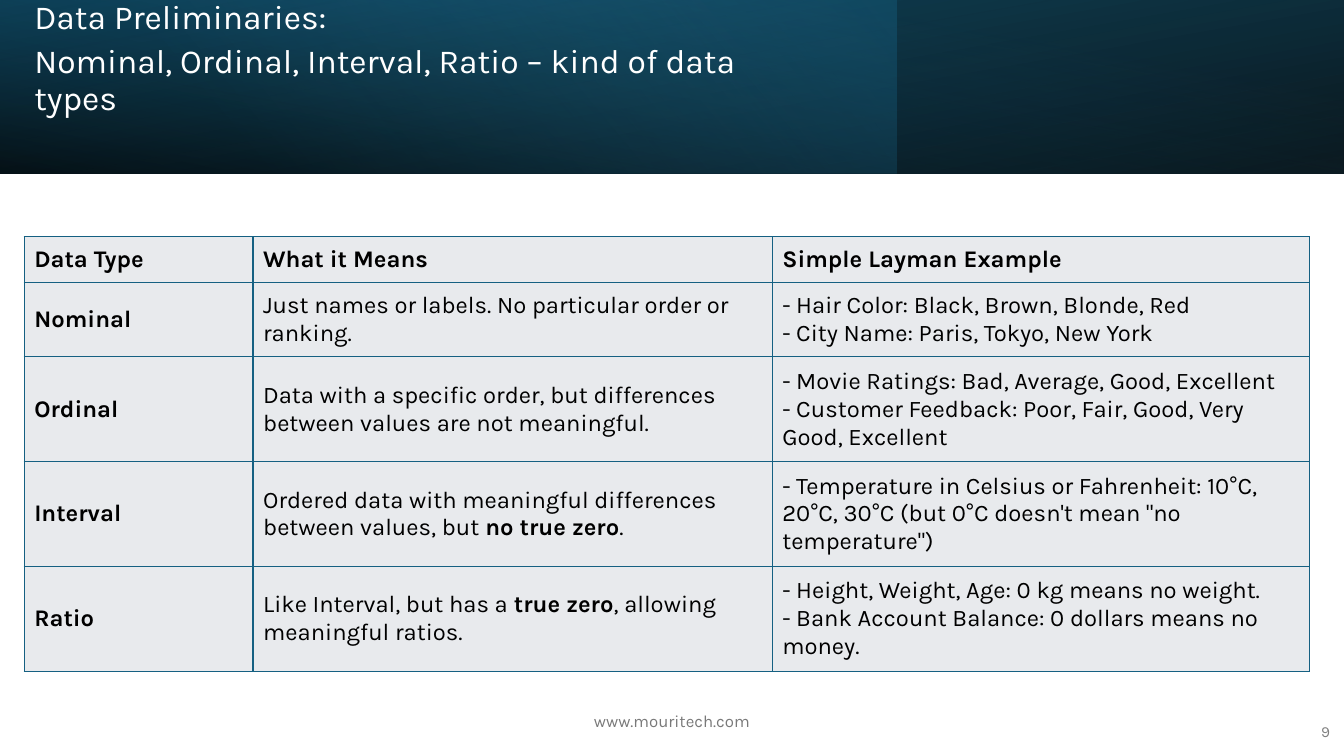
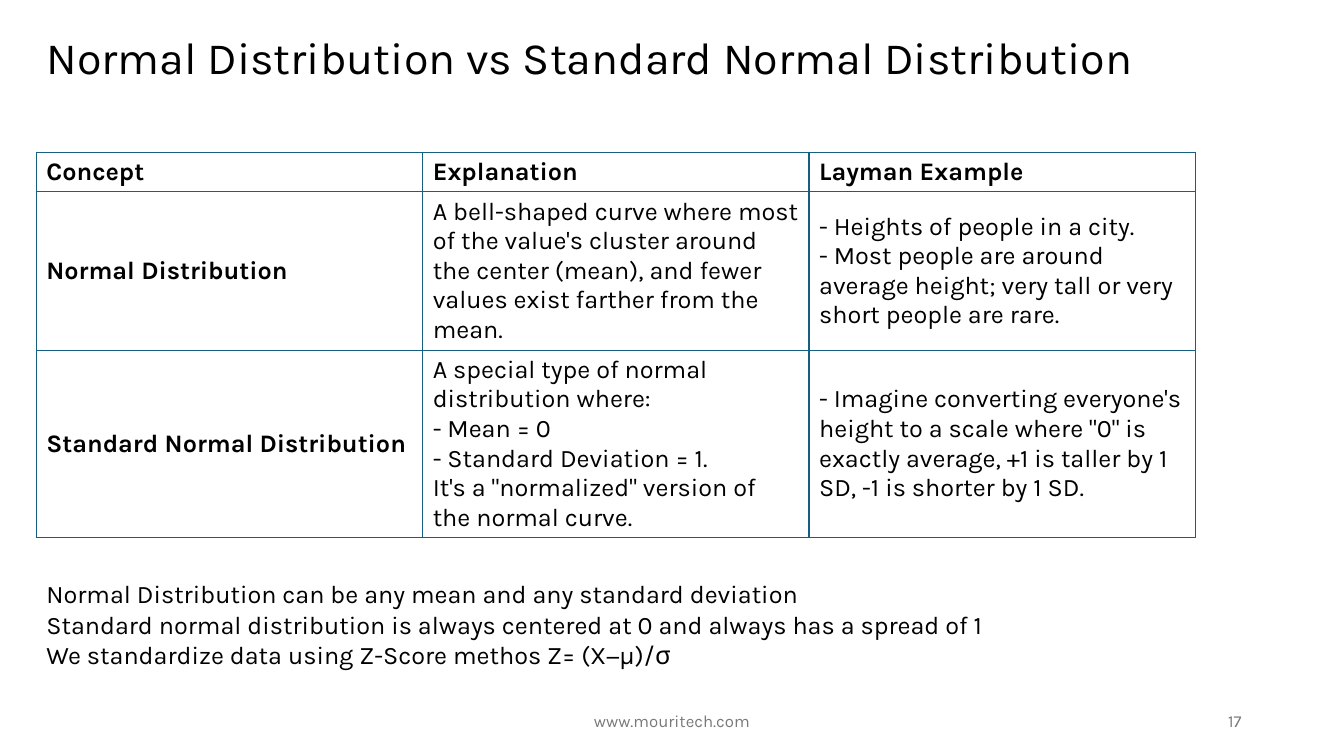
from lxml import etree
from pptx import Presentation
from pptx.dml.color import RGBColor
from pptx.enum.shapes import MSO_SHAPE
from pptx.enum.text import MSO_ANCHOR, MSO_AUTO_SIZE, PP_ALIGN
from pptx.oxml.ns import qn
from pptx.util import Inches, Pt

RECTANGLE = MSO_SHAPE.RECTANGLE
TOP, MIDDLE = MSO_ANCHOR.TOP, MSO_ANCHOR.MIDDLE
LEFT, CENTER, RIGHT = PP_ALIGN.LEFT, PP_ALIGN.CENTER, PP_ALIGN.RIGHT
NO_AUTOFIT = MSO_AUTO_SIZE.NONE

BLACK = RGBColor(0x00, 0x00, 0x00)
WHITE = RGBColor(0xFF, 0xFF, 0xFF)
TEAL = RGBColor(0x15, 0x60, 0x82)
DEEP_TEAL = RGBColor(0x10, 0x48, 0x62)
SKY = RGBColor(0x46, 0xB1, 0xE1)
CELL_GRAY = RGBColor(0xE8, 0xEA, 0xED)
FOOTER_GRAY = RGBColor(0x79, 0x79, 0x79)
PAGE_GRAY = RGBColor(0x80, 0x80, 0x80)

FONT = "Karla"
SLIDE_WIDTH, SLIDE_HEIGHT = Inches(13.33), Inches(7.5)
TITLE_ONLY, TITLE_AND_BODY = 5, 1
BAND_HEIGHT = 23
FOOTER_TOP, FOOTER_HEIGHT = 92.67, 5.33
BOLD_MARK = "**"

DATA_TYPES = [
    ["Data Type", "What it Means", "Simple Layman Example"],
    ["Nominal", "Just names or labels. No particular order or ranking.",
     "- Hair Color: Black, Brown, Blonde, Red\n- City Name: Paris, Tokyo, New York"],
    ["Ordinal",
     "Data with a specific order, but differences between values are not meaningful.",
     "- Movie Ratings: Bad, Average, Good, Excellent\n"
     "- Customer Feedback: Poor, Fair, Good, Very Good, Excellent"],
    ["Interval",
     "Ordered data with meaningful differences between values, but **no true zero**.",
     "- Temperature in Celsius or Fahrenheit: 10°C, 20°C, 30°C "
     "(but 0°C doesn't mean \"no temperature\")"],
    ["Ratio", "Like Interval, but has a **true zero**, allowing meaningful ratios.",
     "- Height, Weight, Age: 0 kg means no weight.\n"
     "- Bank Account Balance: 0 dollars means no money."],
]

DISTRIBUTIONS = [
    ["Concept", "Explanation", "Layman Example"],
    ["Normal Distribution",
     "A bell-shaped curve where most of the value's cluster around the center (mean), "
     "and fewer values exist farther from the mean.",
     "- Heights of people in a city.\n"
     "- Most people are around average height; very tall or very short people are rare."],
    ["Standard Normal Distribution",
     "A special type of normal distribution where:\n- Mean = 0\n"
     "- Standard Deviation = 1.\nIt's a \"normalized\" version of the normal curve.",
     "- Imagine converting everyone's height to a scale where \"0\" is exactly average, "
     "+1 is taller by 1 SD, -1 is shorter by 1 SD."],
]

DISTRIBUTION_NOTES = (
    "Normal Distribution can be any mean and any standard deviation\n"
    "Standard normal distribution is always centered at 0 and always has a spread of 1\n"
    "We standardize data using Z-Score methos Z= (X−μ)/σ"
)


def across(percent):
    return round(SLIDE_WIDTH * percent / 100)


def down(percent):
    return round(SLIDE_HEIGHT * percent / 100)


def area(left, top, width, height):
    return across(left), down(top), across(width), down(height)


def place(placeholder, left, top, width, height):
    (placeholder.left, placeholder.top,
     placeholder.width, placeholder.height) = area(left, top, width, height)


def format_font(font, size, color, bold=False):
    font.name = FONT
    font.size = Pt(size)
    font.color.rgb = color
    font.bold = bold


def write(frame, text, size, color, align=LEFT, anchor=MIDDLE):
    frame.text = text
    frame.word_wrap = True
    frame.auto_size = NO_AUTOFIT
    frame.vertical_anchor = anchor
    for paragraph in frame.paragraphs:
        paragraph.alignment = align
        for run in paragraph.runs:
            format_font(run.font, size, color)


def add_label(slide, text, bounds, size, color, align):
    label = slide.shapes.add_textbox(*area(*bounds))
    write(label.text_frame, text, size, color, align)


def add_footer(slide):
    add_label(slide, "www.mouritech.com", (33.12, FOOTER_TOP, 33.75, FOOTER_HEIGHT),
              12, FOOTER_GRAY, CENTER)


def set_title(slide, text, bounds, size, color, anchor=MIDDLE):
    title = slide.shapes.title
    place(title, *bounds)
    write(title.text_frame, text, size, color, anchor=anchor)
    for paragraph in title.text_frame.paragraphs:
        paragraph.line_spacing = 0.9
    return title


def add_band(slide, width, stops, angle, rotation=0, flipped=False):
    band = slide.shapes.add_shape(RECTANGLE, *area(0, 0, width, BAND_HEIGHT))
    band.shadow.inherit = False
    band.line.fill.background()
    band.rotation = rotation
    properties = band._element.spPr
    if flipped:
        properties.find(qn("a:xfrm")).set("flipH", "1")
    gradient = etree.Element(qn("a:gradFill"), rotWithShape="1")
    stop_list = etree.SubElement(gradient, qn("a:gsLst"))
    for position, color, opacity in stops:
        stop = etree.SubElement(stop_list, qn("a:gs"), pos=str(position * 1000))
        shade = etree.SubElement(stop, qn("a:srgbClr"), val=str(color))
        etree.SubElement(shade, qn("a:alpha"), val=str(opacity * 1000))
    etree.SubElement(gradient, qn("a:lin"), ang=str(angle * 60000), scaled="0")
    properties.find(qn("a:prstGeom")).addnext(gradient)


def add_title_bands(slide):
    add_band(slide, 100, [(0, BLACK, 96), (100, DEEP_TEAL, 100)], 100, 180, True)
    add_band(slide, 66.67, [(0, TEAL, 41), (74, SKY, 0)], 140)
    add_band(slide, 100, [(0, BLACK, 63), (78, TEAL, 15)], 260, flipped=True)


def add_borders(cell):
    properties = cell._tc.get_or_add_tcPr()
    for index, side in enumerate(("a:lnL", "a:lnR", "a:lnT", "a:lnB")):
        border = etree.Element(qn(side), w=str(Pt(1)))
        fill = etree.SubElement(border, qn("a:solidFill"))
        etree.SubElement(fill, qn("a:srgbClr"), val=str(TEAL))
        properties.insert(index, border)


def fill_cell(cell, text, size, bold, background):
    frame = cell.text_frame
    frame.text = text.replace(BOLD_MARK, "")
    for paragraph, line in zip(frame.paragraphs, text.split("\n")):
        pieces = line.split(BOLD_MARK)
        paragraph.text = pieces[0]
        for piece in pieces[1:]:
            paragraph.add_run().text = piece
        for index, run in enumerate(paragraph.runs):
            format_font(run.font, size, BLACK, bold or index % 2 == 1)
    cell.vertical_anchor = MIDDLE
    if background is None:
        cell.fill.background()
    else:
        cell.fill.solid()
        cell.fill.fore_color.rgb = background
    add_borders(cell)


def add_grid_table(slide, content, left, top, widths, heights, size, background=None):
    bounds = area(left, top, sum(widths), sum(heights))
    table = slide.shapes.add_table(len(heights), len(widths), *bounds).table
    table.first_row = False
    table.horz_banding = False
    for column, width in zip(table.columns, widths):
        column.width = across(width)
    for row, height in zip(table.rows, heights):
        row.height = down(height)
    for row_index, texts in enumerate(content):
        for column_index, text in enumerate(texts):
            heading = row_index == 0 or column_index == 0
            fill_cell(table.cell(row_index, column_index), text, size, heading, background)


def add_notes_list(slide, text, bounds):
    notes = slide.placeholders[1]
    place(notes, *bounds)
    write(notes.text_frame, text, 18, BLACK, anchor=TOP)
    for paragraph in notes.text_frame.paragraphs:
        paragraph.space_before = Pt(0)
        properties = paragraph._p.get_or_add_pPr()
        properties.set("marL", "0")
        properties.set("indent", "0")
        etree.SubElement(properties, qn("a:buNone"))


def build_data_types(deck):
    slide = deck.slides.add_slide(deck.slide_layouts[TITLE_ONLY])
    add_title_bands(slide)
    title = set_title(
        slide,
        "Data Preliminaries:\nNominal, Ordinal, Interval, Ratio – kind of data types",
        (1.8, 0, 57.9, 16), 24, WHITE, TOP)
    title.text_frame.margin_top = 0
    for paragraph in title.text_frame.paragraphs:
        paragraph.space_after = Pt(6)
    slide.shapes._spTree.append(title._element)
    add_label(slide, "9", (96, 94.13, 3.7, FOOTER_HEIGHT), 11, PAGE_GRAY, RIGHT)
    add_grid_table(slide, DATA_TYPES, 1.8, 31.33, [17.03, 38.63, 39.98],
                   [6, 9.87] + [13.87] * 3, 17, CELL_GRAY)
    add_footer(slide)


def build_distributions(deck):
    slide = deck.slides.add_slide(deck.slide_layouts[TITLE_AND_BODY])
    left, width = 2.7, 86.25
    set_title(slide, "Normal Distribution vs Standard Normal Distribution",
              (left, 2.67, width, 10.4), 32, BLACK)
    add_grid_table(slide, DISTRIBUTIONS, left, 20.13, [width / 3] * 3,
                   [5.2, 20.93, 24.8], 18)
    add_footer(slide)
    add_label(slide, "17", (70.62, FOOTER_TOP, 22.5, FOOTER_HEIGHT),
              12, FOOTER_GRAY, RIGHT)
    add_notes_list(slide, DISTRIBUTION_NOTES, (left, 75.87, width, 13.47))


def main():
    deck = Presentation()
    deck.slide_width, deck.slide_height = SLIDE_WIDTH, SLIDE_HEIGHT
    build_data_types(deck)
    build_distributions(deck)
    deck.save("out.pptx")


if __name__ == "__main__":
    main()
